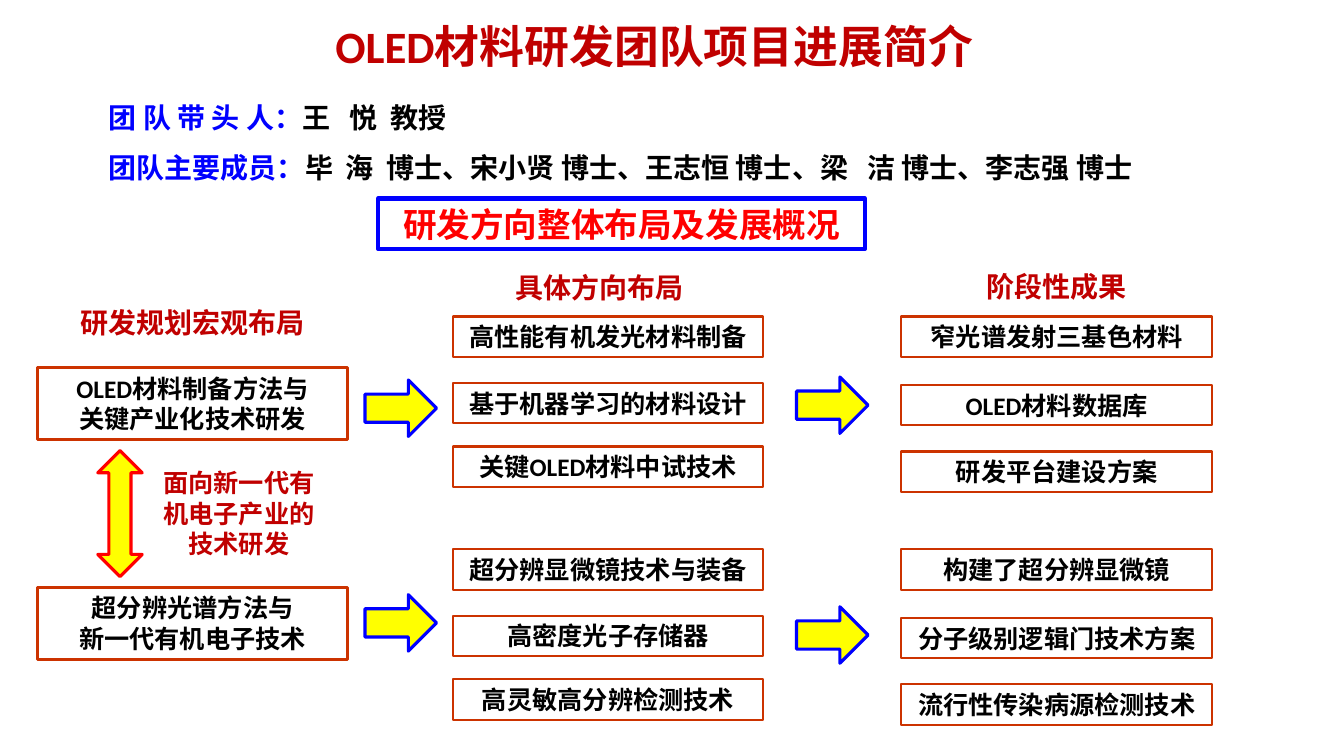
from pptx import Presentation
from pptx.dml.color import RGBColor
from pptx.enum.shapes import MSO_SHAPE
from pptx.enum.text import MSO_ANCHOR, PP_ALIGN
from pptx.util import Inches, Pt

DARK_RED, RED, BLUE = "C00000", "FF0000", "0000FF"
BLACK, ORANGE, YELLOW = "000000", "CC3300", "FFFF00"
COLUMN_WIDTH = 3.08
HEADING_WIDTH = 2.62
MACRO_LEFT, DIRECTION_LEFT, RESULT_LEFT = 0.37, 4.49, 8.94
FIRST_ARROW_LEFT, SECOND_ARROW_LEFT = 3.62, 7.9


def rgb(value):
    return RGBColor.from_string(value)


def write(shape, paragraphs, size=18, color=BLACK, align=PP_ALIGN.CENTER, spacing=1.0):
    """Each paragraph is a string or a list of (text, color, tracking) runs."""
    frame = shape.text_frame
    frame.word_wrap = True
    frame.vertical_anchor = MSO_ANCHOR.TOP
    for index, content in enumerate(paragraphs):
        paragraph = frame.paragraphs[0] if index == 0 else frame.add_paragraph()
        paragraph.alignment = align
        paragraph.line_spacing = spacing
        runs = [(content, color, 0)] if isinstance(content, str) else content
        for text, run_color, tracking in runs:
            run = paragraph.add_run()
            run.text = text
            run.font.name = "Calibri"
            run.font.size = Pt(size)
            run.font.bold = True
            run.font.color.rgb = rgb(run_color)
            if tracking:
                run.font._element.set("spc", str(tracking))


def label(slide, box, *paragraphs, **text_format):
    write(slide.shapes.add_textbox(*map(Inches, box)), paragraphs, **text_format)


def outlined(slide, kind, box, line, weight, fill=None):
    shape = slide.shapes.add_shape(kind, *map(Inches, box))
    shape.shadow.inherit = False
    shape.line.color.rgb = rgb(line)
    shape.line.width = Pt(weight)
    if fill:
        shape.fill.solid()
        shape.fill.fore_color.rgb = rgb(fill)
    else:
        shape.fill.background()
    return shape


def framed(slide, box, *paragraphs, line=ORANGE, weight=1.5, **text_format):
    frame = outlined(slide, MSO_SHAPE.RECTANGLE, box, line, weight)
    write(frame, paragraphs, **text_format)


def person_runs(text):
    """Wide gaps: "~" is two spaces wide and "^" is three, at 20 pt."""
    runs, plain = [], ""
    for letter in text:
        if letter in "~^":
            runs += [(plain, BLACK, 0), (" ", BLACK, 450 if letter == "~" else 900)]
            plain = ""
        else:
            plain += letter
    return runs + [(plain, BLACK, 0)]


def header(slide, left, top, width):
    # Title
    label(slide, (left + 1.8, top, 7.42, 0.64), "OLED材料研发团队项目进展简介",
          size=32, color=DARK_RED)
    # Team leader and members
    label(slide, (left, top + 0.64, width, 1.06),
          [("团 队 带 头 人：", BLUE, 0)] + person_runs("王^悦~教授"),
          [("团队主要成员：", BLUE, 0)]
          + person_runs("毕~海~博士、宋小贤 博士、王志恒 博士、梁^洁 博士、李志强 博士"),
          size=20, align=PP_ALIGN.LEFT, spacing=1.5)
    # Section banner
    framed(slide, (left + 2.77, top + 1.83, 4.83, 0.5), "研发方向整体布局及发展概况",
           line=BLUE, weight=3, size=24, color=RED)


def column_headings(slide, top):
    for left, offset, heading in [(0.6, 0.36, "研发规划宏观布局"),
                                  (4.64, 0.01, "具体方向布局"),
                                  (9.17, 0, "阶段性成果")]:
        label(slide, (left, top + offset, HEADING_WIDTH, 0.44), heading,
              size=20, color=DARK_RED)


def research_band(slide, top, macro, macro_offset, directions, results, arrow_offsets):
    # Macro plan
    framed(slide, (MACRO_LEFT, top + macro_offset, COLUMN_WIDTH, 0.71), *macro, weight=2.25)
    # Directions and results
    for left, offsets, topics in [(DIRECTION_LEFT, (0, 0.66, 1.29), directions),
                                  (RESULT_LEFT, (0, 0.68, 1.34), results)]:
        for offset, topic in zip(offsets, topics):
            framed(slide, (left, top + offset, COLUMN_WIDTH, 0.4), topic)
    # Arrows between columns
    for left, offset in zip((FIRST_ARROW_LEFT, SECOND_ARROW_LEFT), arrow_offsets):
        outlined(slide, MSO_SHAPE.RIGHT_ARROW, (left, top + offset, 0.71, 0.56),
                 BLUE, 2.25, YELLOW)


def shared_goal(slide, left, top):
    outlined(slide, MSO_SHAPE.UP_DOWN_ARROW, (left, top, 0.44, 1.25), RED, 2.25, YELLOW)
    label(slide, (left + 0.55, top + 0.12, 1.7, 1.01),
          "面向新一代有机电子产业的技术研发", color=DARK_RED)


def main():
    deck = Presentation()
    deck.slide_width, deck.slide_height = Inches(13.33), Inches(7.5)
    slide = deck.slides.add_slide(deck.slide_layouts[6])

    header(slide, 0.98, 0.14, 11.16)
    column_headings(slide, 2.62)
    research_band(
        slide, 3.14, ["OLED材料制备方法与", "关键产业化技术研发"], 0.51,
        ["高性能有机发光材料制备", "基于机器学习的材料设计", "关键OLED材料中试技术"],
        ["窄光谱发射三基色材料", "OLED材料数据库", "研发平台建设方案"],
        (0.63, 0.6))
    research_band(
        slide, 5.45, ["超分辨光谱方法与", "新一代有机电子技术"], 0.38,
        ["超分辨显微镜技术与装备", "高密度光子存储器", "高灵敏高分辨检测技术"],
        ["构建了超分辨显微镜", "分子级别逻辑门技术方案", "流行性传染病源检测技术"],
        (0.45, 0.57))
    shared_goal(slide, 0.97, 4.47)

    deck.save("out.pptx")


if __name__ == "__main__":
    main()
